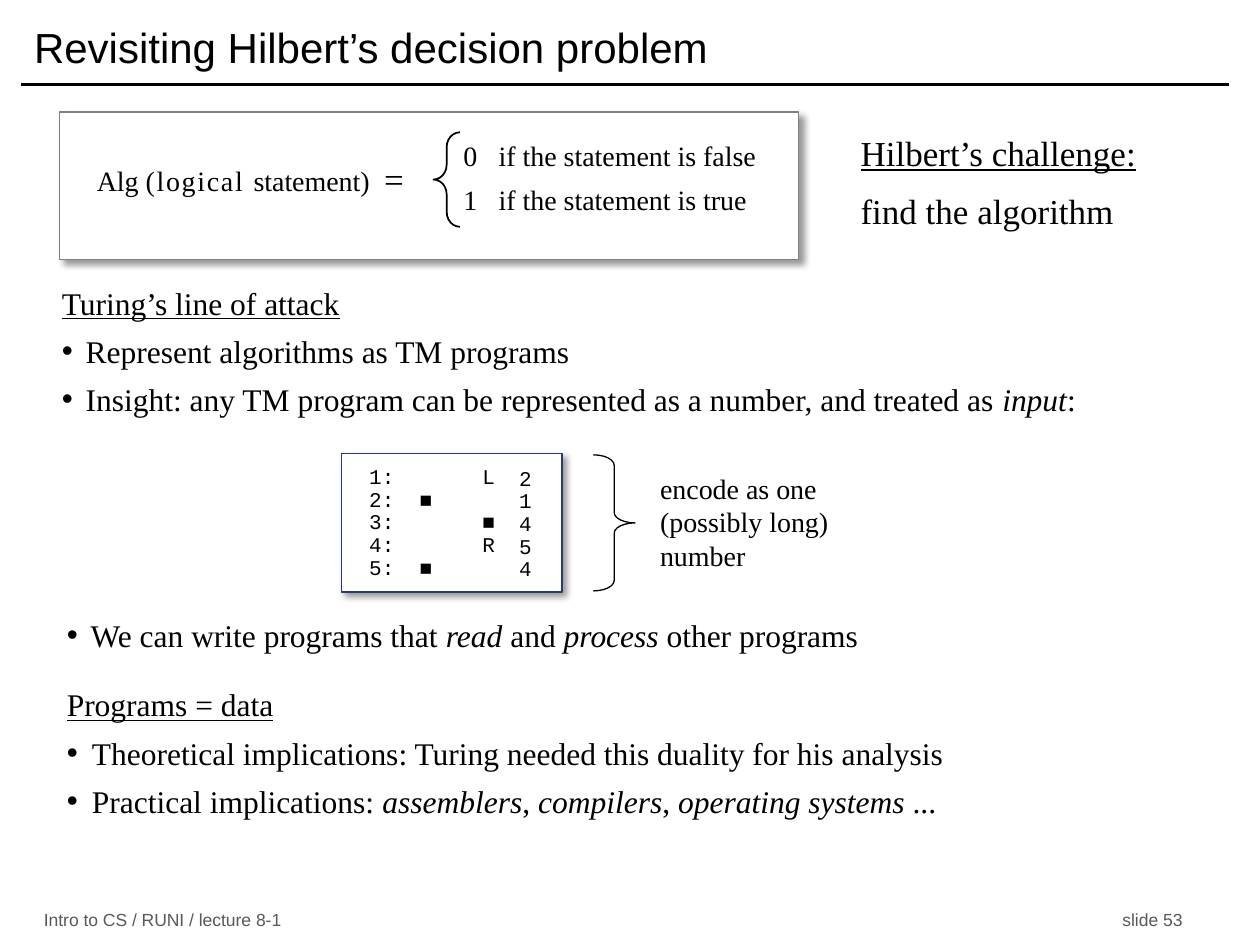
"""Build the slide on Hilbert's decision problem and Turing's line of attack."""
import dataclasses

import pptx
import pptx.dml.color
import pptx.enum.shapes
import pptx.enum.text
import pptx.oxml.ns
import pptx.util
from lxml import etree

SHAPE = pptx.enum.shapes.MSO_SHAPE
ANCHOR = pptx.enum.text.MSO_ANCHOR
qn = pptx.oxml.ns.qn


@dataclasses.dataclass
class Theme:
    sans: str = "Arial"
    serif: str = "Times New Roman"
    mono: str = "Courier New"
    ink: str = "000000"
    paper: str = "FFFFFF"
    muted: str = "595959"
    frame: str = "808080"
    code_frame: str = "293973"
    title: int = 24
    lead: int = 20
    body: int = 18
    note: int = 16
    code: int = 12
    footer: int = 10


def rgb(value):
    return pptx.dml.color.RGBColor.from_string(value)


def write(p, text, font, size, color, underline=False, spacing=0):
    for i, part in enumerate(text.split("*")):
        if not part:
            continue
        r = p.add_run()
        r.text = part
        r.font.name, r.font.size = font, pptx.util.Pt(size)
        r.font.color.rgb = rgb(color)
        r.font.bold, r.font.italic = False, i % 2 == 1
        r.font.underline = underline
        if spacing:
            r.font._element.set("spc", str(spacing * 100))


class Deck:
    COLS, ROWS = 100, 75

    def __init__(self, theme):
        self.t = theme
        self.prs = pptx.Presentation()
        self.prs.slide_width = pptx.util.Inches(10)
        self.prs.slide_height = pptx.util.Inches(7.5)
        self.s = self.prs.slides.add_slide(self.prs.slide_layouts[4])

    def grid(self, col, row, cols=0, rows=0):
        dx, dy = self.prs.slide_width / self.COLS, self.prs.slide_height / self.ROWS
        return [round(v) for v in (col * dx, row * dy, cols * dx, rows * dy)]

    def frame(self, sp, anchor=ANCHOR.TOP, inset=(0.1, 0.1)):
        tf = sp.text_frame
        tf.word_wrap, tf.vertical_anchor = True, anchor
        tf.auto_size = pptx.enum.text.MSO_AUTO_SIZE.NONE
        tf.margin_left, tf.margin_right = map(pptx.util.Inches, inset)
        tf.margin_top = tf.margin_bottom = pptx.util.Inches(0.05)
        return tf

    def paragraph(self, tf, first, before=0, hang=0, lines=None):
        p = tf.paragraphs[0] if first else tf.add_paragraph()
        pPr = p._p.get_or_add_pPr()
        indent = pptx.util.Inches(hang)
        pPr.set("marL", str(indent))
        pPr.set("indent", str(-indent))
        if hang:
            etree.SubElement(pPr, qn("a:buChar")).set("char", "•")
        else:
            etree.SubElement(pPr, qn("a:buNone"))
        p.alignment = pptx.enum.text.PP_ALIGN.LEFT
        p.space_before = pptx.util.Pt(0 if first else before)
        if lines:
            p.line_spacing = lines
        return p

    def placeholder(self, idx, *cell):
        sp = self.s.placeholders[idx]
        sp.left, sp.top, sp.width, sp.height = self.grid(*cell)
        return sp

    def title(self, text, *cell):
        tf = self.frame(self.placeholder(0, *cell), ANCHOR.MIDDLE)
        write(self.paragraph(tf, True), text, self.t.sans, self.t.title, self.t.ink)

    def body(self, idx, cell, heading=None, items=(), size=None, before=6, hang=0.19):
        tf = self.frame(self.placeholder(idx, *cell))
        fmt = dict(font=self.t.serif, size=size or self.t.body, color=self.t.ink)
        if heading:
            write(self.paragraph(tf, True), heading, underline=True, **fmt)
        for i, item in enumerate(items):
            first = i == 0 and not heading
            write(self.paragraph(tf, first, before, hang), item, **fmt)

    def text(self, cell, rows, anchor=ANCHOR.TOP, font=None, size=None, color=None, before=0):
        tf = self.frame(self.s.shapes.add_textbox(*self.grid(*cell)), anchor)
        for i, row in enumerate(rows):
            p = self.paragraph(tf, i == 0, before)
            write(p, row, font or self.t.serif, size or self.t.note, color or self.t.ink)
        return tf

    def panel(self, cell, line=None):
        sp = self.s.shapes.add_shape(SHAPE.RECTANGLE, *self.grid(*cell))
        sp.fill.solid()
        sp.fill.fore_color.rgb = rgb(self.t.paper)
        sp.shadow.inherit = False
        if not line:
            sp.line.fill.background()
            return sp
        sp.line.color.rgb, sp.line.width = rgb(line), pptx.util.Pt(0.75)
        effects = sp._element.spPr.find(qn("a:effectLst"))
        shadow = etree.SubElement(
            effects, qn("a:outerShdw"), blurRad=str(pptx.util.Pt(4)),
            dist=str(pptx.util.Pt(3)), dir="2700000", algn="tl", rotWithShape="0")
        color = etree.SubElement(shadow, qn("a:srgbClr"), val=self.t.ink)
        etree.SubElement(color, qn("a:alpha"), val="40000")
        return sp

    def code(self, sp, rows, inset):
        tf = self.frame(sp, ANCHOR.MIDDLE, inset)
        for i, row in enumerate(rows):
            p = self.paragraph(tf, i == 0, lines=0.9)
            write(p, row, self.t.mono, self.t.code, self.t.ink)

    def brace(self, kind, cell, curve, width):
        sp = self.s.shapes.add_shape(kind, *self.grid(*cell))
        sp.adjustments[0], sp.adjustments[1] = curve, 0.5
        sp.fill.background()
        sp.shadow.inherit = False
        sp.line.color.rgb, sp.line.width = rgb(self.t.ink), pptx.util.Pt(width)

    def rule(self, start, end, row):
        x1, y, x2, _ = self.grid(start, row, end)
        ln = self.s.shapes.add_connector(pptx.enum.shapes.MSO_CONNECTOR.STRAIGHT, x1, y, x2, y)
        ln.line.color.rgb, ln.line.width = rgb(self.t.ink), pptx.util.Pt(2)
        etree.SubElement(ln._element.spPr, qn("a:effectLst"))


def main():
    t = Theme()
    d = Deck(t)
    d.rule(1.7, 97.5, 6.7)
    for col, cols, text in [(2.5, 40, "Intro to CS / RUNI / lecture 8-1"), (88.1, 9, "slide 53")]:
        d.text((col, 71.9, cols, 2.2), [text], ANCHOR.MIDDLE, t.sans, t.footer, t.muted)
    d.title("Revisiting Hilbert’s decision problem", 1.7, 0.8, 95.8, 5.8)
    d.body(1, (67.3, 9.9, 30.8, 6.3), "Hilbert’s challenge:", ["find the algorithm"],
           size=t.lead, before=9.6, hang=0)
    d.body(2, (3.9, 22, 94.2, 19.2), "Turing’s line of attack", [
        "Represent algorithms as TM programs",
        "Insight: any TM program can be represented as a number, and treated as *input*:"])
    d.body(3, (4.3, 48.4, 87.4, 14.2),
           items=["We can write programs that *read* and *process* other programs"])
    d.body(4, (4.3, 53.9, 87.4, 14.2), "Programs = data", [
        "Theoretical implications: Turing needed this duality for his analysis",
        "Practical implications: *assemblers*, *compilers*, *operating systems* ..."], hang=0.2)

    d.brace(SHAPE.RIGHT_BRACE, (47.1, 36.1, 3.3, 10.8), 0.25, 0.75)
    d.text((51.4, 36.9, 16.1, 9.1), ["encode as one (possibly long) number"])
    d.code(d.panel((27.1, 36, 17.5, 11), t.code_frame),
           ["1:       L", "2:  ■", "3:       ■", "4:       R", "5:  ■"], (0.22, 0))
    d.code(d.panel((41.2, 37, 2.5, 9.3)), "21454", (0, 0))

    d.panel((4.7, 8.9, 58.7, 11.7), t.frame)
    tf = d.text((6.7, 12.5, 24, 5.8), ["Alg "])
    for text, spacing in [("(logical ", 1), ("statement)", 0)]:
        write(tf.paragraphs[0], text, t.serif, t.note, t.ink, spacing=spacing)
    d.text((29.5, 12, 4.5, 6.3), ["="], size=t.lead)
    d.text((35.8, 10.5, 3.5, 8.3), "01", before=6)
    d.text((38.6, 10.5, 24.4, 8.3),
           ["if the statement is false", "if the statement is true"], before=6)
    d.brace(SHAPE.LEFT_BRACE, (34.4, 10.5, 2.1, 7.5), 0.56, 1)
    d.prs.save("out.pptx")


if __name__ == "__main__":
    main()
